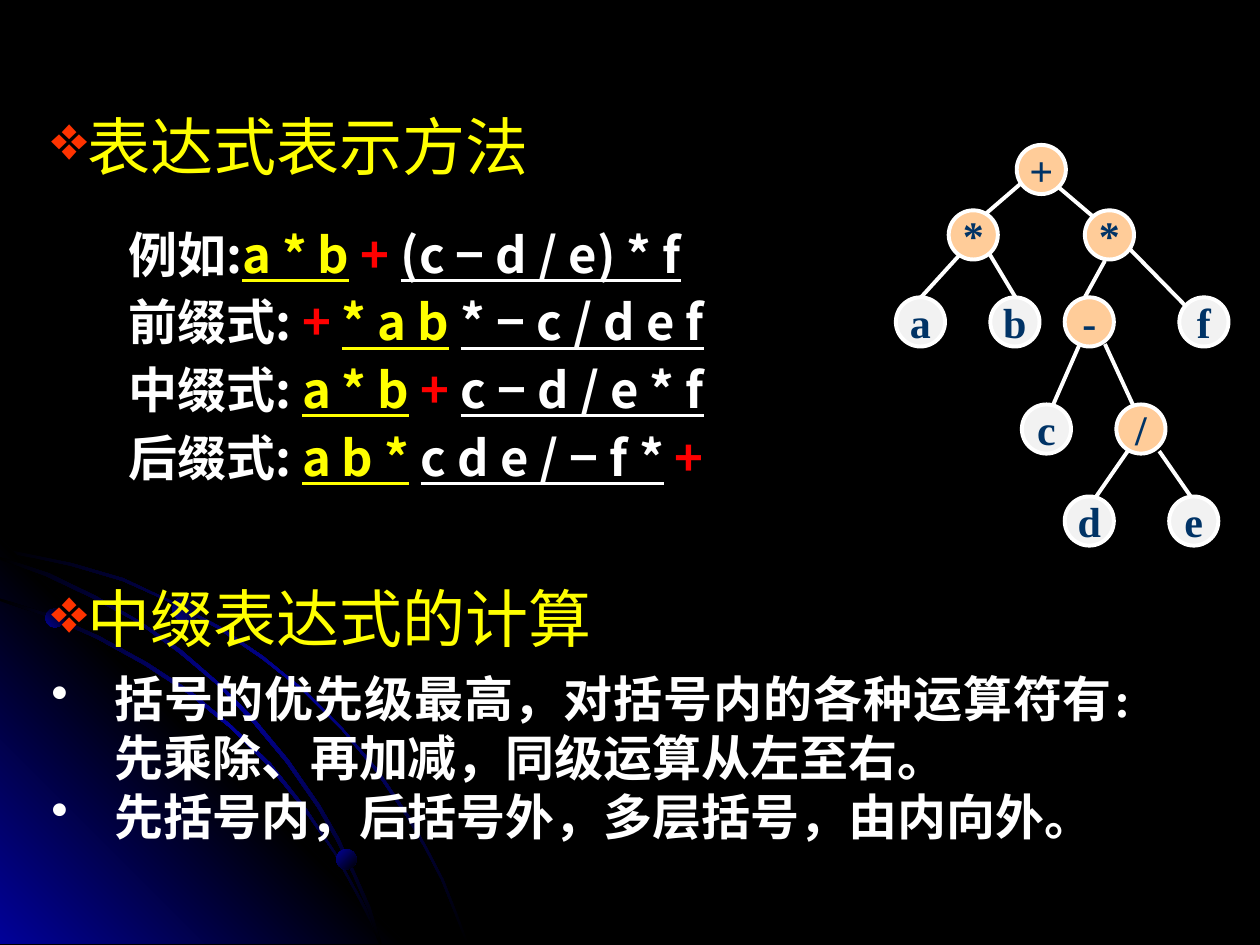
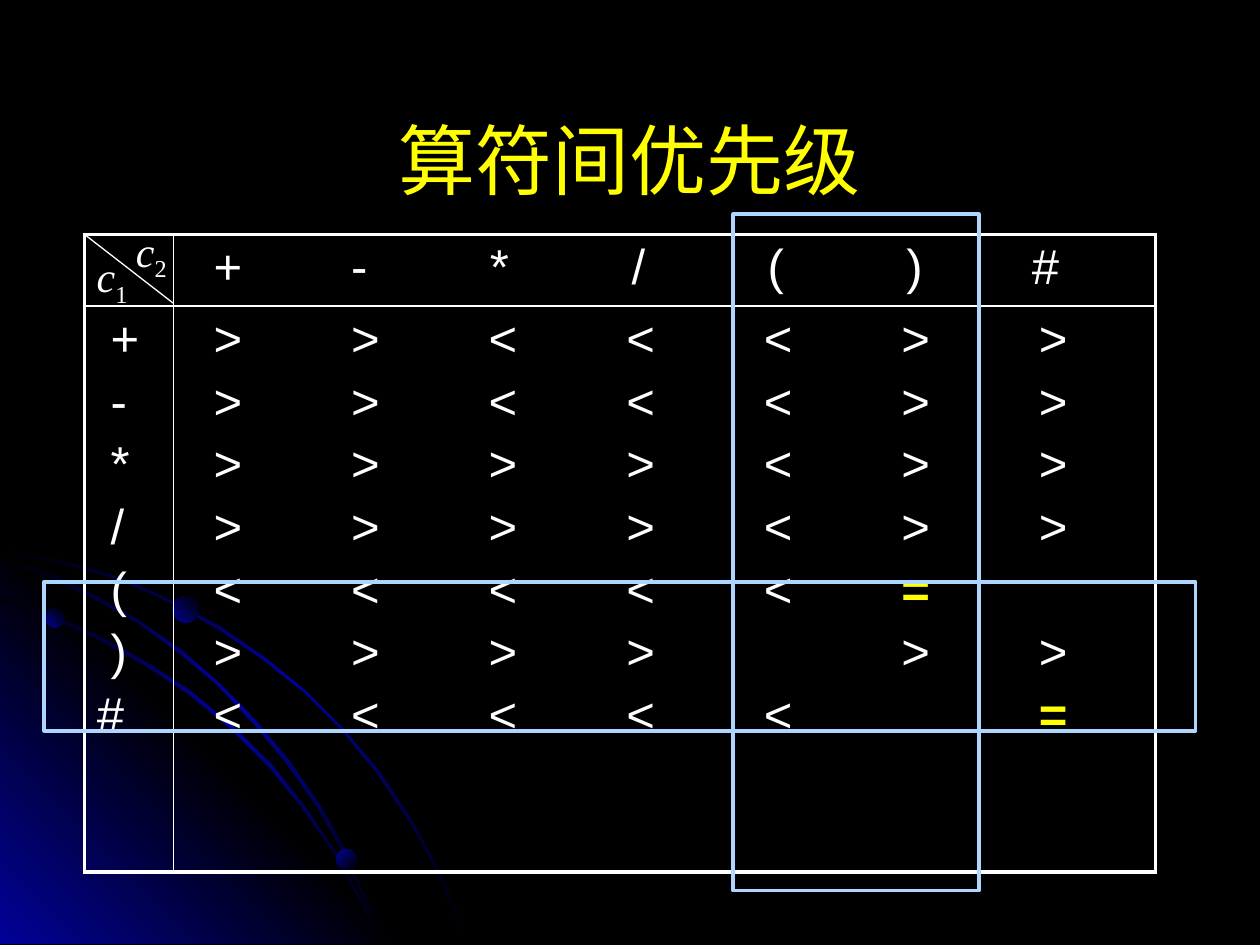
from lxml import etree
from pptx import Presentation
from pptx import util as u
from pptx.dml import color
from pptx.enum import shapes, text
from pptx.oxml import ns

COLORS = {
    "black": "000000", "navy": "010199", "white": "FFFFFF", "yellow": "FFFF00",
    "red": "FF0000", "bullet": "FF3300", "ink": "003366", "operand": "F2F2F2",
    "operator": "FFCC99", "highlight": "ADD6FF",
}
CJK, SANS, SERIF = "Noto Sans CJK SC", "Arial", "Times New Roman"
OVAL = shapes.MSO_SHAPE.OVAL
CENTER, JUSTIFY = text.PP_ALIGN.CENTER, text.PP_ALIGN.JUSTIFY
MIDDLE = text.MSO_ANCHOR.MIDDLE

ARCS = [
    [(57, 447), (28, 441), (0, 435), (0, 438), (28, 443), (56, 449), (97, 461),
     (135, 478), (173, 499), (208, 523), (241, 549), (271, 579), (298, 612),
     (323, 649), (337, 673), (350, 698), (360, 723), (370, 749), (372, 749),
     (362, 723), (352, 698), (339, 673), (325, 648), (300, 611), (272, 578),
     (242, 548), (209, 521), (174, 497), (136, 477), (98, 459)],
    [(285, 714), (294, 732), (301, 749), (303, 749), (296, 730), (286, 712),
     (266, 676), (242, 640), (215, 606), (184, 576), (152, 549), (117, 526),
     (79, 505), (41, 488), (0, 475), (0, 477), (39, 490), (77, 507), (115, 528),
     (150, 551), (183, 578), (213, 608), (240, 641), (265, 677)],
    [(0, 442), (0, 444), (36, 457), (74, 475), (109, 494), (142, 518), (173, 544),
     (202, 575), (227, 605), (252, 641), (267, 667), (280, 694), (292, 722),
     (301, 749), (303, 749), (294, 720), (282, 693), (269, 665), (254, 639),
     (229, 603), (204, 573), (175, 543), (144, 516), (111, 493), (76, 473), (39, 455)],
]
GLOW = [(322, 749), (0, 749), (0, 427)]
BEADS = [(25.9, 347.8, 10.8, 315), (192.2, 485.3, 11.5, 45), (98.6, 340.6, 15.1, 315)]

FORMULAS = [
    [("例如:", "white", False), ("a * b", "yellow", True), (" ", "white", False),
     ("+ ", "red", False), ("(c − d / e) * f", "white", True)],
    [("前缀式: ", "white", False), ("+ ", "red", False), ("* a b", "yellow", True),
     (" ", "white", False), ("* − c / d e f", "white", True)],
    [("中缀式: ", "white", False), ("a * b", "yellow", True), (" ", "white", False),
     ("+ ", "red", False), ("c − d / e * f", "white", True)],
    [("后缀式: ", "white", False), ("a b *", "yellow", True), (" ", "white", False),
     ("c d e / − f *", "white", True), (" ", "white", False), ("+", "red", False)],
]
RULES = ["括号的优先级最高，对括号内的各种运算符有:先乘除、再加减，同级运算从左至右。",
         "先括号内，后括号外，多层括号，由内向外。"]
NODES = [("+", 69.1, 0), ("*", 30.2, 37.4), ("*", 108, 37.4), ("a", 0, 87.1),
         ("b", 54, 87.1), ("-", 96.5, 87.1), ("f", 162, 87.1), ("c", 72, 148.3),
         ("/", 126, 148.3), ("d", 96.5, 200.9), ("e", 156.2, 200.9)]
BRANCHES = [(72, 21.6, 51.1, 39.6), (90, 21.6, 114.5, 42.5), (36, 63.4, 14.4, 87.1),
            (51.1, 58.3, 68.4, 87.1), (119.5, 66.2, 108, 87.1), (132.5, 58.3, 168.5, 95),
            (105.1, 113.8, 90, 148.3), (119.5, 113.8, 135.4, 148.3),
            (132.5, 175, 114.5, 200.9), (150.5, 175, 168.5, 200.9)]

OPERATORS = "+-*/()#"
PRECEDENCE = [">><<<>>", ">><<<>>", ">>>><>>", ">>>><>>", "<<<<<=", ">>>> >>", "<<<<< ="]
HEADER_STOPS = [15.6, 94.2, 173.5, 254.4, 332.2, 411.5, 483.1]
RELATION_STOPS = [15.6 + 78.6 * i for i in range(7)]


def rgb(name):
    return color.RGBColor.from_string(COLORS[name])


def add_xml(parent, tag, index=None, **attributes):
    child = etree.Element(ns.qn(tag), attributes)
    parent.insert(len(parent) if index is None else index, child)
    return child


def emu(points):
    return str(int(u.Pt(points)))


def write(frame, paragraphs, size=28, font=CJK, ink="white", bold=False, italic=False,
          align=None, anchor=None, wrap=True, margin=None, before=0, spacing=None,
          bullet=None, bullet_ink=None, hang=0, stops=()):
    frame.word_wrap = wrap
    if anchor is not None:
        frame.vertical_anchor = anchor
    if margin is not None:
        frame.margin_left = frame.margin_right = u.Pt(margin)
        frame.margin_top = frame.margin_bottom = u.Pt(margin)
    for i, runs in enumerate(paragraphs):
        paragraph = frame.paragraphs[0] if i == 0 else frame.add_paragraph()
        paragraph.alignment = align
        if i and before:
            paragraph.space_before = u.Pt(before)
        if i and spacing:
            paragraph.line_spacing = spacing
        properties = paragraph._p.get_or_add_pPr()
        if hang:
            properties.set("marL", emu(hang))
            properties.set("indent", emu(-hang))
        if bullet_ink:
            add_xml(add_xml(properties, "a:buClr"), "a:srgbClr", val=COLORS[bullet_ink])
        if bullet:
            add_xml(properties, "a:buChar", char=bullet)
        if stops:
            tabs = add_xml(properties, "a:tabLst")
            for stop in stops:
                add_xml(tabs, "a:tab", pos=emu(stop), algn="l")
        for words, *style in [(runs,)] if isinstance(runs, str) else runs:
            run = paragraph.add_run()
            run.text = words
            run.font.size, run.font.name = u.Pt(size), font
            run.font.bold, run.font.italic = bold, italic
            run.font.color.rgb = rgb(style[0] if style else ink)
            if len(style) > 1:
                run.font.underline = style[1]
            add_xml(run._r.get_or_add_rPr(), "a:ea", typeface=CJK)
    return frame


def add_text(slide, box, paragraphs, **style):
    return write(slide.shapes.add_textbox(*map(u.Pt, box)).text_frame, paragraphs, **style)


def add_outline(slide, kind, box, line, width, fill=None):
    shape = slide.shapes.add_shape(kind, *map(u.Pt, box))
    shape.shadow.inherit = False
    shape.line.color.rgb, shape.line.width = rgb(line), u.Pt(width)
    if fill:
        shape.fill.solid()
        shape.fill.fore_color.rgb = rgb(fill)
    else:
        shape.fill.background()
    return shape


def add_line(slide, ends, width):
    line = slide.shapes.add_connector(shapes.MSO_CONNECTOR.STRAIGHT, *map(u.Pt, ends))
    line.line.color.rgb, line.line.width = rgb("white"), u.Pt(width)
    add_xml(line._element.spPr, "a:effectLst")


def shade(shape, names, angle):
    shape.shadow.inherit = False
    shape.line.fill.background()
    shape.fill.gradient()
    gradient = shape._element.spPr.find(ns.qn("a:gradFill"))
    for child in list(gradient):
        gradient.remove(child)
    stops = add_xml(gradient, "a:gsLst")
    for i, name in enumerate(names):
        stop = add_xml(stops, "a:gs", pos=str(100000 * i // (len(names) - 1)))
        add_xml(stop, "a:srgbClr", val=COLORS[name])
    add_xml(gradient, "a:lin", ang=str(angle * 60000), scaled="0")


def add_backdrop(slide):
    slide.background.fill.solid()
    slide.background.fill.fore_color.rgb = rgb("black")

    def sweep(points, names, angle):
        builder = slide.shapes.build_freeform(*points[0], scale=float(u.Pt(0.72)))
        builder.add_line_segments(points[1:], close=True)
        shade(builder.convert_to_shape(), names, angle)

    band = ["black", "navy", "black"]
    sweep(ARCS[0], band, 45)
    sweep(GLOW, ["navy", "black", "navy"], 315)
    for arc in ARCS[1:]:
        sweep(arc, band, 45)
    for left, top, size, angle in BEADS:
        bead = slide.shapes.add_shape(OVAL, *map(u.Pt, (left, top, size, size)))
        shade(bead, ["navy", "black"], angle)


def add_heading(slide, box, words):
    add_text(slide, box, [words], size=36, ink="yellow", wrap=False,
             bullet="❖", bullet_ink="bullet")


def add_tree(slide, left, top, size=28.1):
    for x1, y1, x2, y2 in BRANCHES:
        add_line(slide, (left + x1, top + y1, left + x2, top + y2), 2.25)
    for symbol, x, y in NODES:
        fill = "operand" if symbol.isalpha() else "operator"
        node = add_outline(slide, OVAL, (left + x, top + y, size, size), "white", 2.25, fill)
        write(node.text_frame, [symbol], size=24, font=SERIF, ink="ink", bold=True,
              align=CENTER, anchor=MIDDLE, wrap=False, margin=0)


def add_precedence_table(slide, left, top, widths, heights):
    frame = slide.shapes.add_table(2, 2, *map(u.Pt, (left, top, sum(widths), sum(heights))))
    table = frame.table
    table.first_row = table.horz_banding = False
    for i in range(2):
        table.columns[i].width, table.rows[i].height = u.Pt(widths[i]), u.Pt(heights[i])
    for row in range(2):
        for column in range(2):
            cell = table.cell(row, column)
            cell.fill.background()
            outer = {"L": column == 0, "R": column == 1, "T": row == 0, "B": row == 1}
            for i, (side, thick) in enumerate(outer.items()):
                border = add_xml(cell._tc.get_or_add_tcPr(), "a:ln" + side, i,
                                 w=emu(2.25 if thick else 1))
                add_xml(add_xml(border, "a:solidFill"), "a:srgbClr", val=COLORS["white"])

    def fill_cell(row, column, lines, stops):
        write(table.cell(row, column).text_frame, lines, font=SANS, before=4.6, stops=stops)

    relations = [[("\t" + sign.strip(), "yellow" if sign == "=" else "white")
                  for sign in signs] for signs in PRECEDENCE]
    for signs in relations:
        for i, (sign, ink) in enumerate(signs):
            if ink == "yellow":
                signs[i] = (sign, ink)
    fill_cell(0, 1, ["".join("\t" + sign for sign in OPERATORS)], HEADER_STOPS)
    fill_cell(1, 0, [sign if sign == "#" else "\t" + sign for sign in OPERATORS], [7.8])
    fill_cell(1, 1, relations, RELATION_STOPS)
    for paragraph in table.cell(1, 1).text_frame.paragraphs:
        for run in paragraph.runs:
            run.font.bold = "=" in run.text
    add_line(slide, (left, top, left + widths[0], top + heights[0] - 1.4), 0.75)


def add_subscripted(slide, box, index):
    frame = add_text(slide, box, [[("c",), (index,)]], size=24, font=SERIF, italic=True)
    subscript = frame.paragraphs[0].runs[1].font
    subscript.italic = False
    subscript._element.set("baseline", "-25000")


def build_expressions(slide):
    add_backdrop(slide)
    add_text(slide, (66.2, 124.6, 440.6, 158.4), FORMULAS, bold=True, spacing=1.15)
    add_heading(slide, (22.3, 57.6, 298.8, 51.1), "表达式表示方法")
    add_tree(slide, 511.9, 82.8)
    add_heading(slide, (22.3, 327.6, 334.8, 51.1), "中缀表达式的计算")
    rules = add_text(slide, (22.3, 378.7, 630.7, 108.7), RULES, font=SERIF, bold=True,
                     bullet="•", hang=36)
    rules.paragraphs[0].alignment = JUSTIFY


def build_precedence(slide):
    add_backdrop(slide)
    add_text(slide, (54, 59, 612, 63.4), ["算符间优先级"], size=44, font=SANS,
             ink="yellow", align=CENTER, anchor=MIDDLE)
    add_precedence_table(slide, 48.2, 133.9, (51.1, 560.9), (41, 323.3))
    add_subscripted(slide, (70.6, 125.3, 51.1, 36), "2")
    add_subscripted(slide, (48.2, 139.7, 51.1, 36), "1")
    for highlight in [(25.2, 332.6, 658.1, 85), (419, 122.4, 140.4, 386.6)]:
        add_outline(slide, shapes.MSO_SHAPE.RECTANGLE, highlight, "highlight", 2)


def main():
    deck = Presentation()
    deck.slide_width, deck.slide_height = u.Pt(720), u.Pt(540)
    for build in (build_expressions, build_precedence):
        build(deck.slides.add_slide(deck.slide_layouts[6]))
    deck.save("out.pptx")


if __name__ == "__main__":
    main()
